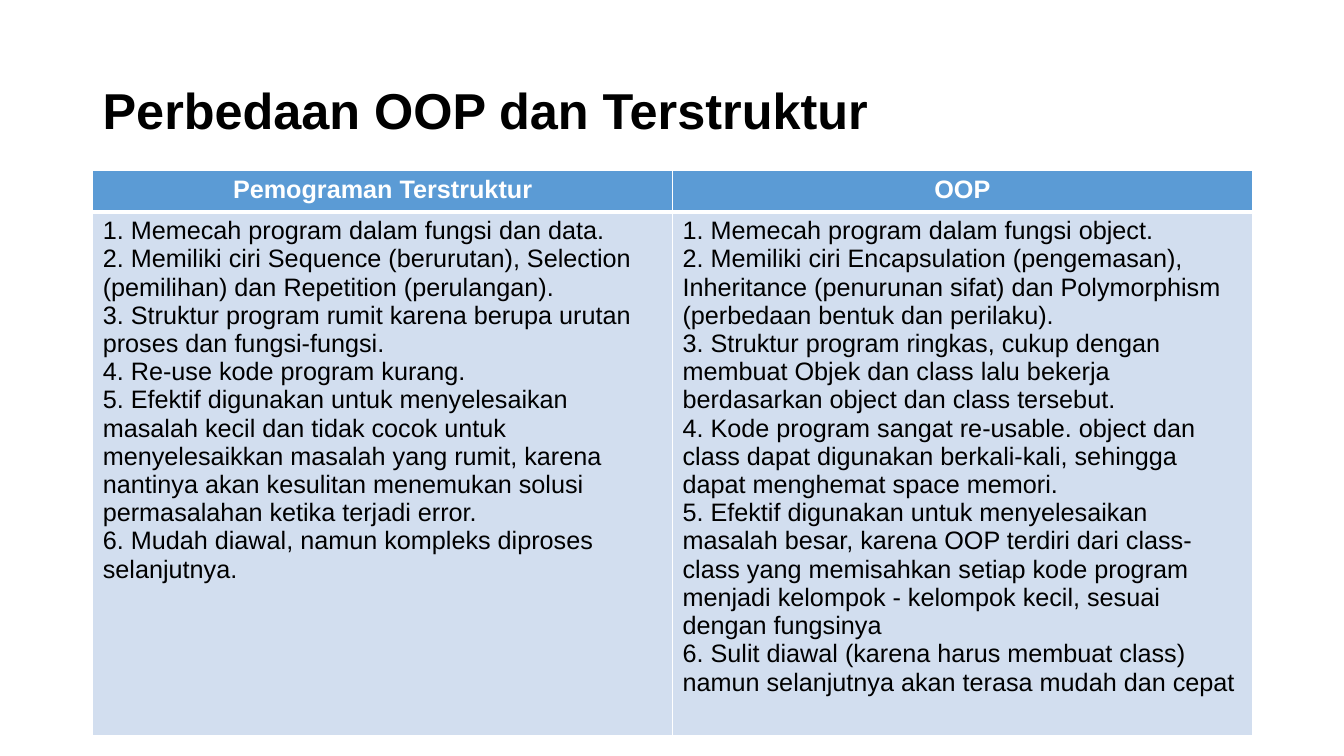
from dataclasses import dataclass

from lxml import etree
from pptx import Presentation
from pptx.dml.color import RGBColor
from pptx.enum import text as t
from pptx.oxml import ns
from pptx.util import Inches, Pt

BLACK = RGBColor(0x00, 0x00, 0x00)
WHITE = RGBColor(0xFF, 0xFF, 0xFF)
BLUE = RGBColor(0x5B, 0x9B, 0xD5)
PALE_BLUE = RGBColor(0xD2, 0xDE, 0xEF)
FONT = "Arial"
LEFT, WIDTH = 0.92, 11.5
ROW_HEIGHTS = (0.41, 4.84)


@dataclass(frozen=True)
class Column:
    heading: str
    points: tuple[str, ...]


COLUMNS = (
    Column("Pemograman Terstruktur", (
        "Memecah program dalam fungsi dan data.",
        "Memiliki ciri Sequence (berurutan), Selection (pemilihan) dan "
        "Repetition (perulangan).",
        "Struktur program rumit karena berupa urutan proses dan fungsi-fungsi.",
        "Re-use kode program kurang.",
        "Efektif digunakan untuk menyelesaikan masalah kecil dan tidak cocok untuk "
        "menyelesaikkan masalah yang rumit, karena nantinya akan kesulitan "
        "menemukan solusi permasalahan ketika terjadi error.",
        "Mudah diawal, namun kompleks diproses selanjutnya.",
    )),
    Column("OOP", (
        "Memecah program dalam fungsi object.",
        "Memiliki ciri Encapsulation (pengemasan), Inheritance (penurunan sifat) "
        "dan Polymorphism (perbedaan bentuk dan perilaku).",
        "Struktur program ringkas, cukup dengan membuat Objek dan class lalu "
        "bekerja berdasarkan object dan class tersebut.",
        "Kode program sangat re-usable. object dan class dapat digunakan "
        "berkali-kali, sehingga dapat menghemat space memori.",
        "Efektif digunakan untuk menyelesaikan masalah besar, karena OOP terdiri "
        "dari class-class yang memisahkan setiap kode program menjadi kelompok - "
        "kelompok kecil, sesuai dengan fungsinya",
        "Sulit diawal (karena harus membuat class) namun selanjutnya akan terasa "
        "mudah dan cepat",
    )),
)


def write(tf, *lines: str, size: float = 18, color: RGBColor = BLACK,
          bold: bool = False, align=t.PP_ALIGN.LEFT, spacing: float = 1.0) -> None:
    for i, line in enumerate(lines):
        p = tf.paragraphs[0] if i == 0 else tf.add_paragraph()
        p.alignment = align
        p.line_spacing = spacing
        r = p.add_run()
        r.text = line
        r.font.name = FONT
        r.font.size = Pt(size)
        r.font.bold = bold
        r.font.color.rgb = color


def style_cell(cell, fill: RGBColor, top: float = 1, bottom: float = 1) -> None:
    tc_pr = cell._tc.get_or_add_tcPr()
    for tag, width in (("lnL", 1), ("lnR", 1), ("lnT", top), ("lnB", bottom)):
        ln = etree.SubElement(tc_pr, ns.qn(f"a:{tag}"), w=str(Pt(width)))
        solid = etree.SubElement(ln, ns.qn("a:solidFill"))
        etree.SubElement(solid, ns.qn("a:srgbClr"), val=str(WHITE))
    cell.fill.solid()
    cell.fill.fore_color.rgb = fill


def add_title(s, title: str) -> None:
    sp = s.shapes.add_textbox(Inches(LEFT), Inches(0.4), Inches(WIDTH), Inches(1.45))
    tf = sp.text_frame
    tf.word_wrap = True
    tf.vertical_anchor = t.MSO_ANCHOR.MIDDLE
    write(tf, title, size=36, bold=True, spacing=0.9)


def add_comparison(s, columns: tuple[Column, ...]) -> None:
    table = s.shapes.add_table(
        len(ROW_HEIGHTS), len(columns), Inches(LEFT), Inches(1.69),
        Inches(WIDTH), Inches(sum(ROW_HEIGHTS))).table
    for row, height in zip(table.rows, ROW_HEIGHTS):
        row.height = Inches(height)
    for i, column in enumerate(columns):
        table.columns[i].width = Inches(WIDTH / len(columns))
        head, body = table.cell(0, i), table.cell(1, i)
        style_cell(head, BLUE, bottom=3)
        style_cell(body, PALE_BLUE, top=3)
        write(head.text_frame, column.heading, color=WHITE, bold=True,
              align=t.PP_ALIGN.CENTER)
        write(body.text_frame,
              *(f"{n}. {point}" for n, point in enumerate(column.points, 1)))


def main() -> None:
    prs = Presentation()
    prs.slide_width, prs.slide_height = Inches(13.33), Inches(7.5)
    s = prs.slides.add_slide(prs.slide_layouts[6])
    add_title(s, "Perbedaan OOP dan Terstruktur")
    add_comparison(s, COLUMNS)
    prs.save("out.pptx")


if __name__ == "__main__":
    main()
